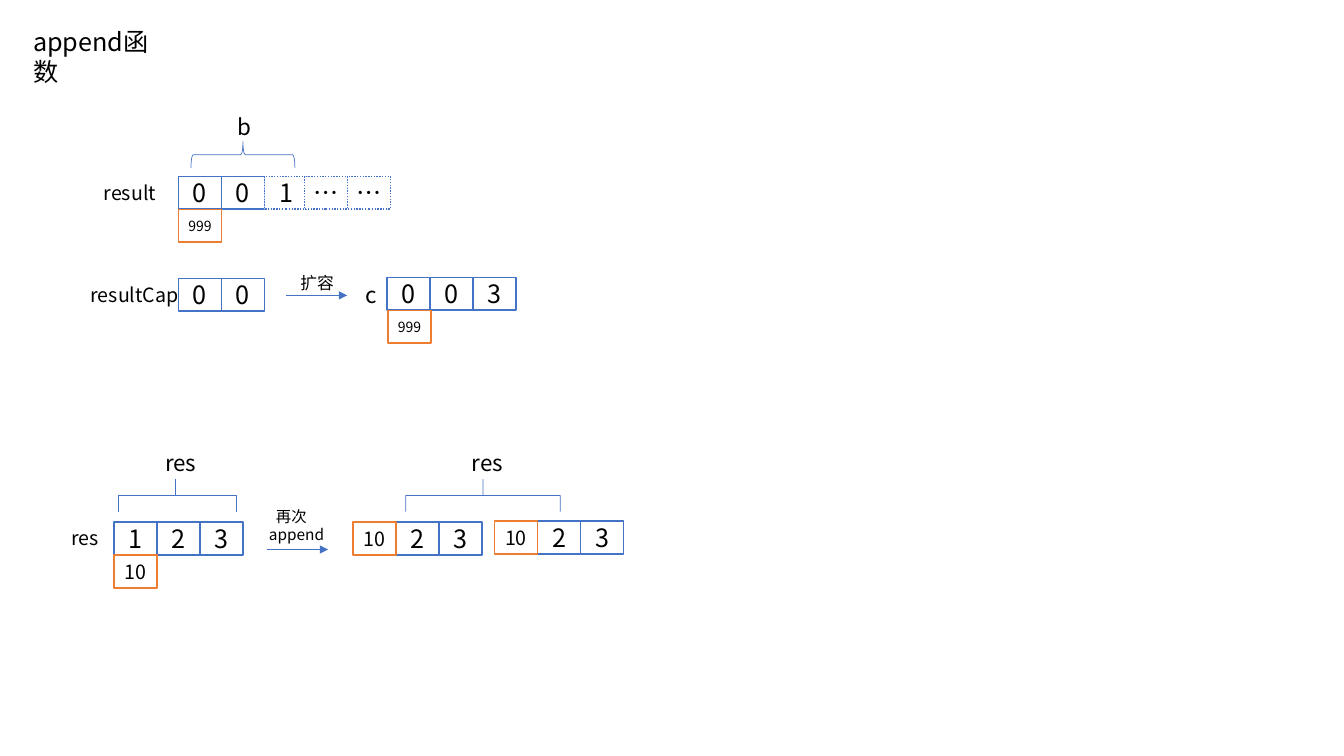
from collections import namedtuple

import lxml.etree
import pptx
import pptx.dml.color
import pptx.enum.dml
import pptx.enum.shapes
import pptx.enum.text
import pptx.oxml.ns
import pptx.util

Pt = pptx.util.Pt
qn = pptx.oxml.ns.qn
SHAPES = pptx.enum.shapes.MSO_SHAPE
BLUE = pptx.dml.color.RGBColor(0x44, 0x72, 0xC4)
ORANGE = pptx.dml.color.RGBColor(0xED, 0x7D, 0x31)
WHITE = pptx.dml.color.RGBColor(0xFF, 0xFF, 0xFF)
BLACK = pptx.dml.color.RGBColor(0, 0, 0)
FONT = "Noto Sans CJK SC"
PITCH = 30.75
CELL_HEIGHT = 23.4

Box = namedtuple("Box", "left top width height")


def add_span(para, text, size):
    """Add one run in the slide font, for Latin and Chinese glyphs alike."""
    span = para.add_run()
    span.text = text
    span.font.size = Pt(size)
    span.font.name = FONT
    span.font.color.rgb = BLACK
    east_asian = lxml.etree.SubElement(span.font._element, qn("a:ea"))
    east_asian.set("typeface", FONT)


def add_label(slide, left, top, width, text, size, indent=0):
    """Add a wrapped text label, with an optional first-line indent."""
    label = slide.shapes.add_textbox(Pt(left), Pt(top), Pt(width), Pt(size + 10))
    label.text_frame.word_wrap = True
    para = label.text_frame.paragraphs[0]
    if indent:
        para._p.get_or_add_pPr().set("indent", str(Pt(indent)))
    add_span(para, text, size)


def add_cell(slide, left, top, text, size=18, color=BLUE, dotted=False):
    """Add one array element."""
    cell = slide.shapes.add_shape(
        SHAPES.RECTANGLE, Pt(left), Pt(top), Pt(PITCH), Pt(CELL_HEIGHT))
    cell.shadow.inherit = False
    cell.fill.solid()
    cell.fill.fore_color.rgb = WHITE
    cell.line.color.rgb = color
    cell.line.width = Pt(1)
    if dotted:
        cell.line.dash_style = pptx.enum.dml.MSO_LINE.ROUND_DOT
    frame = cell.text_frame
    frame.margin_left = frame.margin_right = 0
    frame.margin_top = frame.margin_bottom = 0
    frame.vertical_anchor = pptx.enum.text.MSO_ANCHOR.MIDDLE
    para = frame.paragraphs[0]
    para.alignment = pptx.enum.text.PP_ALIGN.CENTER
    add_span(para, text, size)


def add_cells(slide, left, top, values, **style):
    """Add a row of adjoining array elements."""
    for index, value in enumerate(values):
        add_cell(slide, left + index * PITCH, top, value, **style)


def add_brace(slide, box, bend=None, tip=0.5):
    """Add a brace that opens downwards and fills the box."""
    left = box.left + (box.width - box.height) / 2
    top = box.top + (box.height - box.width) / 2
    brace = slide.shapes.add_shape(
        SHAPES.LEFT_BRACE, Pt(left), Pt(top), Pt(box.height), Pt(box.width))
    brace.rotation = 90
    brace.shadow.inherit = False
    brace.fill.background()
    brace.line.color.rgb = BLUE
    brace.line.width = Pt(0.5)
    if bend is not None:
        brace.adjustments[0] = bend
        brace.adjustments[1] = tip


def add_arrow(slide, left, top, length=43.5):
    """Add a thin arrow pointing right."""
    arrow = slide.shapes.add_connector(
        pptx.enum.shapes.MSO_CONNECTOR.STRAIGHT,
        Pt(left), Pt(top), Pt(left + length), Pt(top))
    arrow.line.color.rgb = BLUE
    arrow.line.width = Pt(0.5)
    head = lxml.etree.SubElement(arrow.line._get_or_add_ln(), qn("a:tailEnd"))
    head.set("type", "triangle")
    lxml.etree.SubElement(arrow._element.spPr, qn("a:effectLst"))


def draw_spare_capacity(slide, box):
    """Draw the result slice, whose spare capacity takes the appended value."""
    left, row = box.left + 60.4, box.top + 49
    add_label(slide, box.left, row, 60.5, "result", 14)
    add_cells(slide, left, row, "00")
    add_cell(slide, left + 2 * PITCH, row, "1", dotted=True)
    add_cells(slide, left + 90, row, "……", dotted=True)
    add_cell(slide, left, row + 23.6, "999", 10, ORANGE)
    add_brace(slide, Box(left + 9, box.top + 24.2, 74.2, 18.7))
    add_label(slide, left + 35.3, box.top, 54.7, "b", 16)


def draw_growth(slide, box):
    """Draw the full resultCap slice growing into the new slice c."""
    row = box.top + 7
    add_cells(slide, box.left + 69.8, row + 0.4, "00")
    add_label(slide, box.left, row - 0.3, 78.5, "resultCap", 14)
    add_label(slide, box.left + 149.8, box.top, 54.7, "扩容", 12)
    add_arrow(slide, box.left + 146.9, box.top + 19.5)
    add_label(slide, box.left + 196.6, row - 1.2, 54.7, "c", 16)
    add_cells(slide, box.left + 218.7, row - 0.3, "003")
    add_cell(slide, box.left + 219.6, row + 23.2, "999", 10, ORANGE)


def draw_append_again(slide, box):
    """Draw the res slice before and after the second append."""
    row = box.top + 55.4
    before, after, appended = box.left + 37.4, box.left + 208.2, box.left + 309.3
    brace_top = box.top + 24.8
    add_cells(slide, before, row, "123")
    add_cell(slide, before, row + 23.6, "10", 14, ORANGE)
    add_label(slide, box.left, row - 0.6, 60.5, "res", 14)
    add_brace(slide, Box(before + 3.2, brace_top, 84.2, 23), 0, 0.515)
    add_label(slide, before + 29.5, box.top, 54.7, "res", 16)
    add_label(slide, box.left + 141.1, box.top + 41, 54.7, "再次append", 11, indent=5)
    add_arrow(slide, box.left + 147, box.top + 74.9)
    for left, top in ((after, row), (appended, row - 0.7)):
        add_cells(slide, left + PITCH, top, "23")
        add_cell(slide, left, top, "10", 14, ORANGE)
    add_brace(slide, Box(after + 37.8, brace_top, 110.2, 23), 0)
    add_label(slide, after + 77.8, box.top, 54.7, "res", 16)


def main():
    """Build the slide and save the deck."""
    deck = pptx.Presentation()
    deck.slide_width, deck.slide_height = Pt(960), Pt(540)
    slide = deck.slides.add_slide(deck.slide_layouts[6])
    add_label(slide, 16.6, 15.1, 114.5, "append函数", 18)
    draw_spare_capacity(slide, Box(67, 77, 215, 97))
    draw_growth(slide, Box(57.6, 191.5, 312, 54))
    draw_append_again(slide, Box(43.9, 317.6, 402, 103))
    deck.save("out.pptx")


main()
